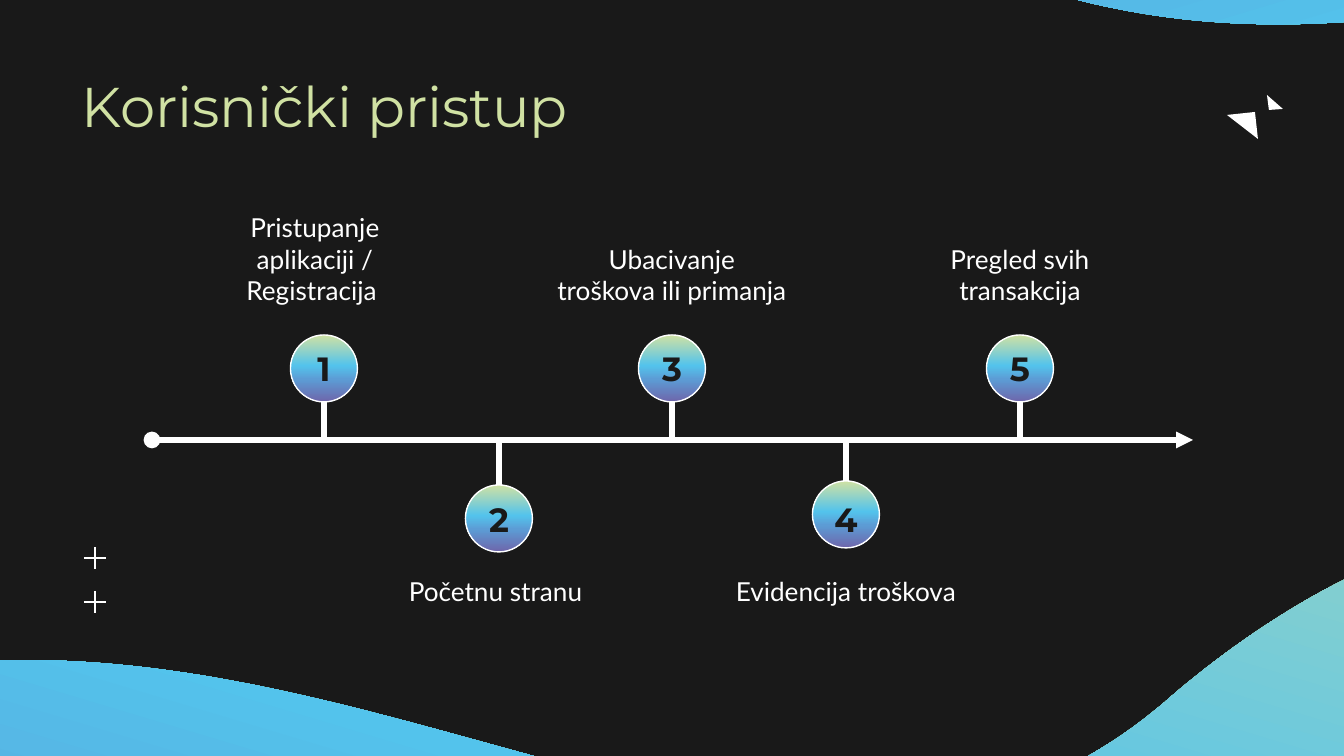
import math

import pptx
import pptx.dml.color
import pptx.enum.shapes
import pptx.enum.text
import pptx.oxml.ns
import pptx.util
from lxml import etree

RGBColor = pptx.dml.color.RGBColor
ANCHOR = pptx.enum.text.MSO_ANCHOR
qn = pptx.oxml.ns.qn

DARK = RGBColor(0x19, 0x19, 0x19)
WHITE = RGBColor(0xFF, 0xFF, 0xFF)
LIME = RGBColor(0xD0, 0xE1, 0xA3)
SKY = RGBColor(0x53, 0xC3, 0xEC)
BLUE = RGBColor(0x5C, 0x9C, 0xD5)
VIOLET = RGBColor(0x6E, 0x66, 0xAB)
GRADIENT = [(0, LIME), (46, SKY), (66, BLUE), (100, VIOLET)]

SCALE = 914400 / 134.4
TITLE = "Korisnički pristup"
STEPS = [
    {"text": "Pristupanje aplikaciji / Registracija ", "center": 324, "circle_top": 335, "shift": -9},
    {"text": "Početnu stranu ", "center": 499, "circle_top": 485, "shift": 0},
    {"text": "Ubacivanje troškova ili primanja", "center": 672, "circle_top": 335, "shift": 0},
    {"text": "Evidencija troškova", "center": 846, "circle_top": 481, "shift": 0},
    {"text": "Pregled svih transakcija", "center": 1020, "circle_top": 335, "shift": 0},
]
CIRCLE = 67
AXIS_LEFT, AXIS_RIGHT, AXIS_Y = 152, 1193, 440
LABEL_WIDTH, LABEL_HEIGHT = 256, 134
UPPER_LABEL_TOP, LOWER_LABEL_TOP = 185, 562
NUMBER_HEIGHT, UPPER_NUMBER_TOP, LOWER_NUMBER_TOP = 41, 348, 496
INSET = 13

WAVE_CENTER = (657, 891)
WAVE_START = (1447, 543)
WAVE_SEGMENTS = [
    [(1361, 558), (1247, 630), (1167, 700)],
    [(751, 1060), (220, 411), (-390, 775)],
    [(-497, 1130)],
    [(19, 1285)],
    [(159, 1192), (789, 1136), (910, 1144)],
    [(1469, 1187), (1503, 1255), (1626, 1265)],
    [WAVE_START],
]
WAVE_ANGLE = 16.7
MIRROR_X, MIRROR_Y = 1251, 684

TRIANGLES = [
    [(1258, 139), (1227, 115), (1255, 112)],
    [(1269, 110), (1267, 95), (1283, 109)],
]
PLUS_CENTERS = [(95, 558), (95, 602)]
PLUS_ARM = 11


def emu(px):
    return pptx.util.Emu(round(px * SCALE))


def box(*lengths):
    return [emu(length) for length in lengths]


def fill_gradient(shape):
    shape.fill.gradient()
    shape.fill.gradient_angle = 270
    stops = shape._element.spPr.find(".//" + qn("a:gsLst"))
    stops.clear()
    for position, color in GRADIENT:
        stop = etree.SubElement(stops, qn("a:gs"), pos=str(position * 1000))
        etree.SubElement(stop, qn("a:srgbClr"), val=str(color))


def add_polygon(slide, points):
    corners = [(emu(x), emu(y)) for x, y in points]
    builder = slide.shapes.build_freeform(*corners[0])
    builder.add_line_segments(corners[1:], close=True)
    shape = builder.convert_to_shape()
    shape.shadow.inherit = False
    shape.line.fill.background()
    return shape


def bend_segments(shape):
    lines = iter(shape._element.spPr.findall(".//" + qn("a:lnTo")))
    for segment in WAVE_SEGMENTS:
        first, *others = [next(lines) for _ in segment]
        if not others:
            continue
        curve = etree.Element(qn("a:cubicBezTo"))
        first.addprevious(curve)
        for line in (first, *others):
            curve.append(line[0])
            line.getparent().remove(line)


def add_wave(slide, points, center, angle):
    cosine, sine = math.cos(math.radians(angle)), math.sin(math.radians(angle))
    level = []
    for x, y in points:
        dx, dy = x - center[0], y - center[1]
        level.append((center[0] + dx * cosine + dy * sine,
                      center[1] - dx * sine + dy * cosine))
    shape = add_polygon(slide, level)
    bend_segments(shape)
    shape.rotation = angle
    fill_gradient(shape)


def add_line(slide, start, end, width):
    connector = slide.shapes.add_connector(
        pptx.enum.shapes.MSO_CONNECTOR.STRAIGHT, *box(*start, *end))
    connector.line.color.rgb = WHITE
    connector.line.width = pptx.util.Pt(width)
    etree.SubElement(connector._element.spPr, qn("a:effectLst"))
    return connector


def add_text(slide, bounds, text, font, size, color, anchor, bold=False, spacing=None):
    frame = slide.shapes.add_textbox(*box(*bounds)).text_frame
    frame.word_wrap = True
    frame.vertical_anchor = anchor
    frame.margin_left = frame.margin_right = emu(INSET)
    frame.margin_top = frame.margin_bottom = emu(INSET)
    paragraph = frame.paragraphs[0]
    paragraph.alignment = pptx.enum.text.PP_ALIGN.CENTER
    paragraph.line_spacing = spacing
    run = paragraph.add_run()
    run.text = text
    run.font.name = font
    run.font.size = pptx.util.Pt(size)
    run.font.bold = bold
    run.font.color.rgb = color


def add_step(slide, number, step):
    center, top = step["center"], step["circle_top"]
    above = top < AXIS_Y
    circle_left = center - CIRCLE / 2
    circle = slide.shapes.add_shape(
        pptx.enum.shapes.MSO_SHAPE.OVAL, *box(circle_left, top, CIRCLE, CIRCLE))
    circle.shadow.inherit = False
    fill_gradient(circle)
    circle.line.color.rgb = WHITE
    circle.line.width = pptx.util.Pt(0.75)

    stem_y = top + CIRCLE if above else top
    add_line(slide, (center, stem_y), (center, AXIS_Y), 3)

    number_top = UPPER_NUMBER_TOP if above else LOWER_NUMBER_TOP
    add_text(slide, (circle_left, number_top, CIRCLE, NUMBER_HEIGHT), str(number),
             "Montserrat", 18, DARK, ANCHOR.MIDDLE, bold=True,
             spacing=None if above else 1.15)

    label_left = center + step["shift"] - LABEL_WIDTH / 2
    label_top = UPPER_LABEL_TOP if above else LOWER_LABEL_TOP
    add_text(slide, (label_left, label_top, LABEL_WIDTH, LABEL_HEIGHT), step["text"],
             "Lato", 14, WHITE, ANCHOR.BOTTOM if above else ANCHOR.TOP)


def main():
    presentation = pptx.Presentation()
    presentation.slide_width, presentation.slide_height = box(1344, 756)
    slide = presentation.slides.add_slide(presentation.slide_layouts[6])
    slide.background.fill.solid()
    slide.background.fill.fore_color.rgb = DARK

    outline = [WAVE_START] + [point for segment in WAVE_SEGMENTS for point in segment]
    add_wave(slide, outline, WAVE_CENTER, WAVE_ANGLE)
    mirrored = [(x + MIRROR_X, MIRROR_Y - y) for x, y in [WAVE_CENTER, *outline]]
    add_wave(slide, mirrored[1:], mirrored[0], 180 - WAVE_ANGLE)

    for points in TRIANGLES:
        triangle = add_polygon(slide, points)
        triangle.fill.solid()
        triangle.fill.fore_color.rgb = WHITE

    for x, y in PLUS_CENTERS:
        add_line(slide, (x - PLUS_ARM, y), (x + PLUS_ARM, y), 1.5)
        add_line(slide, (x, y - PLUS_ARM), (x, y + PLUS_ARM), 1.5)

    for number, step in enumerate(STEPS, 1):
        add_step(slide, number, step)

    axis = add_line(slide, (AXIS_LEFT, AXIS_Y), (AXIS_RIGHT, AXIS_Y), 3)
    line = axis._element.spPr.find(qn("a:ln"))
    etree.SubElement(line, qn("a:headEnd"), type="oval")
    etree.SubElement(line, qn("a:tailEnd"), type="triangle")

    add_text(slide, (30, 66, 590, 79), TITLE, "Montserrat", 30, LIME, ANCHOR.MIDDLE)
    presentation.save("out.pptx")


if __name__ == "__main__":
    main()
